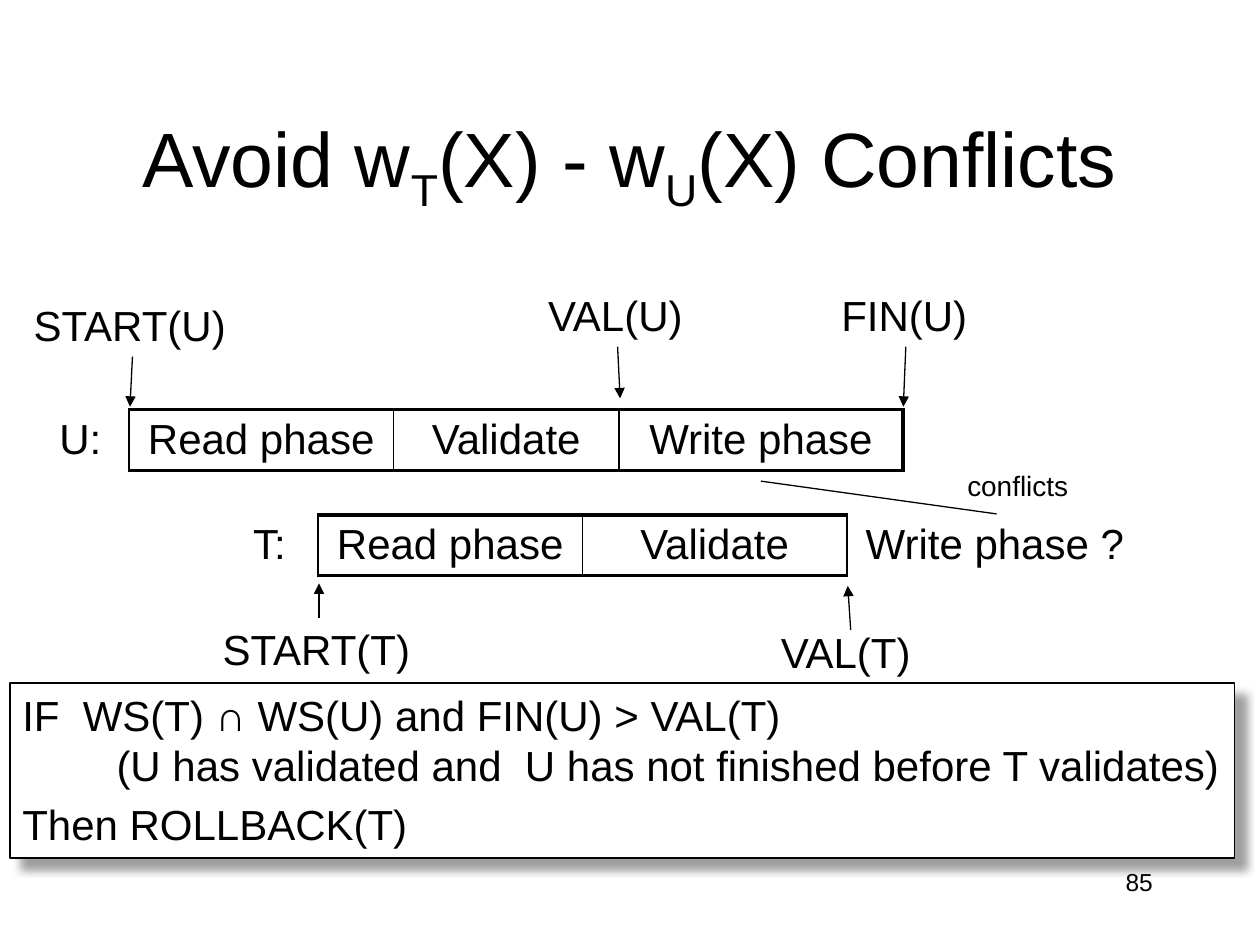
import pptx
import pptx.util
import pptx.dml.color
import pptx.enum.shapes
import pptx.enum.text
import pptx.oxml
import pptx.oxml.ns

Cm, Pt = pptx.util.Cm, pptx.util.Pt
ALIGN = pptx.enum.text.PP_ALIGN
ANCHOR = pptx.enum.text.MSO_ANCHOR
NS = pptx.oxml.ns.nsdecls("a")


def rgb(value):
    """Return the colour for a hex string."""
    return pptx.dml.color.RGBColor.from_string(value)


def add_xml(parent, xml):
    """Append a drawing element to a parent and return it."""
    element = pptx.oxml.parse_xml(xml)
    parent.append(element)
    return element


class Deck:
    """Holds the style and the current slide."""

    font, ink, paper, shade = "Arial", "000000", "FFFFFF", "808080"
    thin, thick = 1, 2.25

    def __init__(self):
        """Open a presentation with one title slide."""
        self.prs = pptx.Presentation()
        self.prs.slide_width, self.prs.slide_height = Cm(25.4), Cm(19.05)
        self.s = self.prs.slides.add_slide(self.prs.slide_layouts[5])

    def style(self, p, size=24, align=ALIGN.LEFT):
        """Format a paragraph and its runs."""
        p.alignment = align
        for r in p.runs:
            r.font.name, r.font.size = self.font, Pt(size)
            r.font.color.rgb = rgb(self.ink)

    def title(self, parts, x, y, w, h):
        """Fill the title, with every second part as a subscript."""
        sp = self.s.shapes.title
        sp.left, sp.top, sp.width, sp.height = Cm(x), Cm(y), Cm(w), Cm(h)
        tf = sp.text_frame
        tf.vertical_anchor = ANCHOR.MIDDLE
        p = tf.paragraphs[0]
        for i, part in enumerate(parts):
            r = p.add_run()
            r.text = part
            if i % 2:
                r.font._element.set("baseline", "-25000")
        self.style(p, 44, ALIGN.CENTER)

    def label(self, text, x, y, w, h=1.27, size=24, align=ALIGN.LEFT):
        """Add one line of text."""
        tf = self.s.shapes.add_textbox(Cm(x), Cm(y), Cm(w), Cm(h)).text_frame
        tf.word_wrap = align == ALIGN.RIGHT
        tf.text = text
        self.style(tf.paragraphs[0], size, align)

    def line(self, x1, y1, x2, y2, arrow=True):
        """Add a straight line, with an arrowhead at its end if wanted."""
        sp = self.s.shapes.add_connector(
            pptx.enum.shapes.MSO_CONNECTOR.STRAIGHT, Cm(x1), Cm(y1), Cm(x2), Cm(y2))
        sp.line.color.rgb, sp.line.width = rgb(self.ink), Pt(0.75)
        if arrow:
            add_xml(sp.line._get_or_add_ln(), f'<a:tailEnd {NS} type="triangle"/>')
        add_xml(sp._element.spPr, f"<a:effectLst {NS}/>")

    def border(self, cell, side, width):
        """Draw one cell border, or clear it when the width is zero."""
        fill = (f'<a:solidFill><a:srgbClr val="{self.ink}"/></a:solidFill>'
                if width else "<a:noFill/>")
        add_xml(cell._tc.get_or_add_tcPr(),
                f'<a:ln{side} {NS} w="{Pt(width)}">{fill}</a:ln{side}>')

    def timeline(self, x, y, widths, texts, boxed, end):
        """Add a one-row table: a name, boxed phases, then any open phase."""
        frame = self.s.shapes.add_table(
            1, len(texts), Cm(x), Cm(y), Cm(sum(widths)), Cm(1.22))
        table = frame.table
        table.first_row = table.horz_banding = False
        edges = [0] + [self.thin] * boxed + [end] + [0] * (len(texts) - boxed)
        for i, (width, text) in enumerate(zip(widths, texts)):
            table.columns[i].width = Cm(width)
            cell = table.cell(0, i)
            cell.text = text
            cell.vertical_anchor = ANCHOR.MIDDLE
            self.style(cell.text_frame.paragraphs[0], align=ALIGN.CENTER)
            rail = self.thick if 1 <= i <= boxed else 0
            for side, line in zip("LRTB", (edges[i], edges[i + 1], rail, rail)):
                self.border(cell, side, line)
            cell.fill.background()

    def rule_box(self, lines, x, y, w, h):
        """Add a shadowed box of (text, indent, space before) lines."""
        sp = self.s.shapes.add_shape(
            pptx.enum.shapes.MSO_SHAPE.RECTANGLE, Cm(x), Cm(y), Cm(w), Cm(h))
        sp.fill.solid()
        sp.fill.fore_color.rgb = rgb(self.paper)
        sp.line.color.rgb, sp.line.width = rgb(self.ink), Pt(0.75)
        add_xml(sp._element.spPr,
                f'<a:effectLst {NS}><a:outerShdw blurRad="{Pt(5)}" dist="{Pt(8.5)}" '
                f'dir="2700000" algn="tl" rotWithShape="0"><a:srgbClr val="{self.shade}">'
                '<a:alpha val="75000"/></a:srgbClr></a:outerShdw></a:effectLst>')
        tf = sp.text_frame
        tf.word_wrap, tf.vertical_anchor = False, ANCHOR.TOP
        tf.text = "\n".join(text for text, _, _ in lines)
        for p, (_, indent, before) in zip(tf.paragraphs, lines):
            self.style(p)
            p.space_before = Pt(before)
            p._p.get_or_add_pPr().set("marL", str(Cm(indent)))


def main():
    """Build the slide and save it."""
    d = Deck()
    d.title(["Avoid w", "T", "(X) - w", "U", "(X) Conflicts"], 1.9, 1.7, 21.59, 3.18)
    d.timeline(0.64, 8.26, [1.96, 5.33, 4.55, 5.72],
               ["U:", "Read phase", "Validate", "Write phase"], 3, d.thick)
    d.timeline(4.45, 10.38, [1.96, 5.33, 5.33, 5.97],
               ["T:", "Read phase", "Validate", "Write phase ?"], 2, d.thin)
    for text, x, y, w in [("START(U)", 0.43, 5.92, 4.47), ("VAL(U)", 10.8, 5.72, 3.3),
                          ("FIN(U)", 16.71, 5.72, 3.05), ("START(T)", 4.24, 12.45, 4.37),
                          ("VAL(T)", 15.49, 12.5, 3.2)]:
        d.label(text, x, y, w)
    for ends in [(2.67, 7.19, 2.62, 8.2), (12.45, 6.99, 12.5, 8.03),
                 (18.26, 6.99, 18.21, 8.2), (6.43, 12.45, 6.43, 11.76),
                 (17.15, 12.7, 17.09, 11.81)]:
        d.line(*ends)
    d.rule_box([("IF  WS(T) ∩ WS(U) and FIN(U) > VAL(T)", 0, 4.8),
                ("(U has validated and  U has not finished before T validates)", 1.9, 0),
                ("Then ROLLBACK(T)", 0, 4.8)], 0.2, 13.77, 24.69, 3.53)
    d.label("conflicts", 19.25, 9.32, 2.54, 0.94, 16)
    d.line(15.34, 9.7, 20.09, 10.36, arrow=False)
    d.label("85", 18.21, 17.35, 5.28, size=14, align=ALIGN.RIGHT)
    d.prs.save("out.pptx")


if __name__ == "__main__":
    main()
